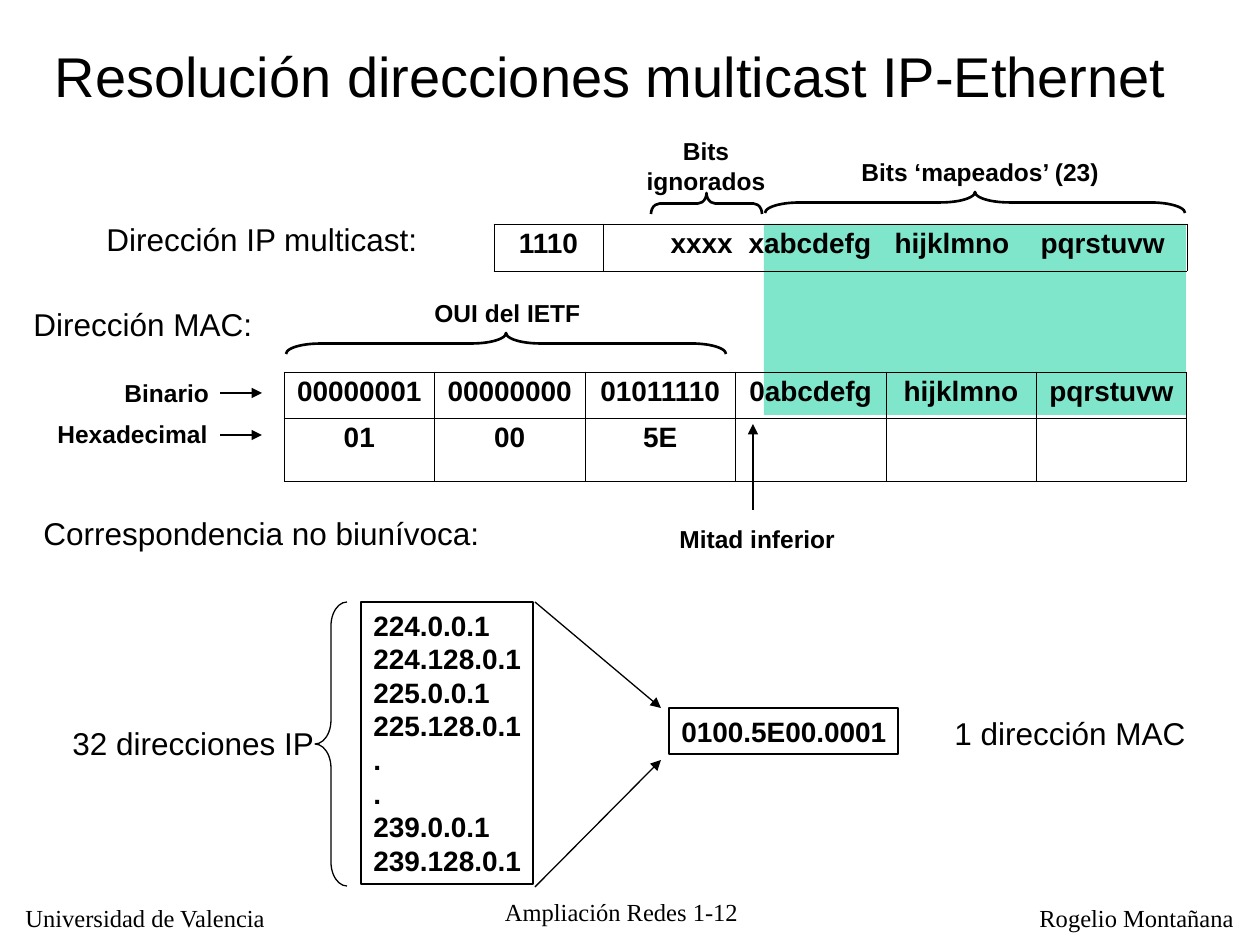
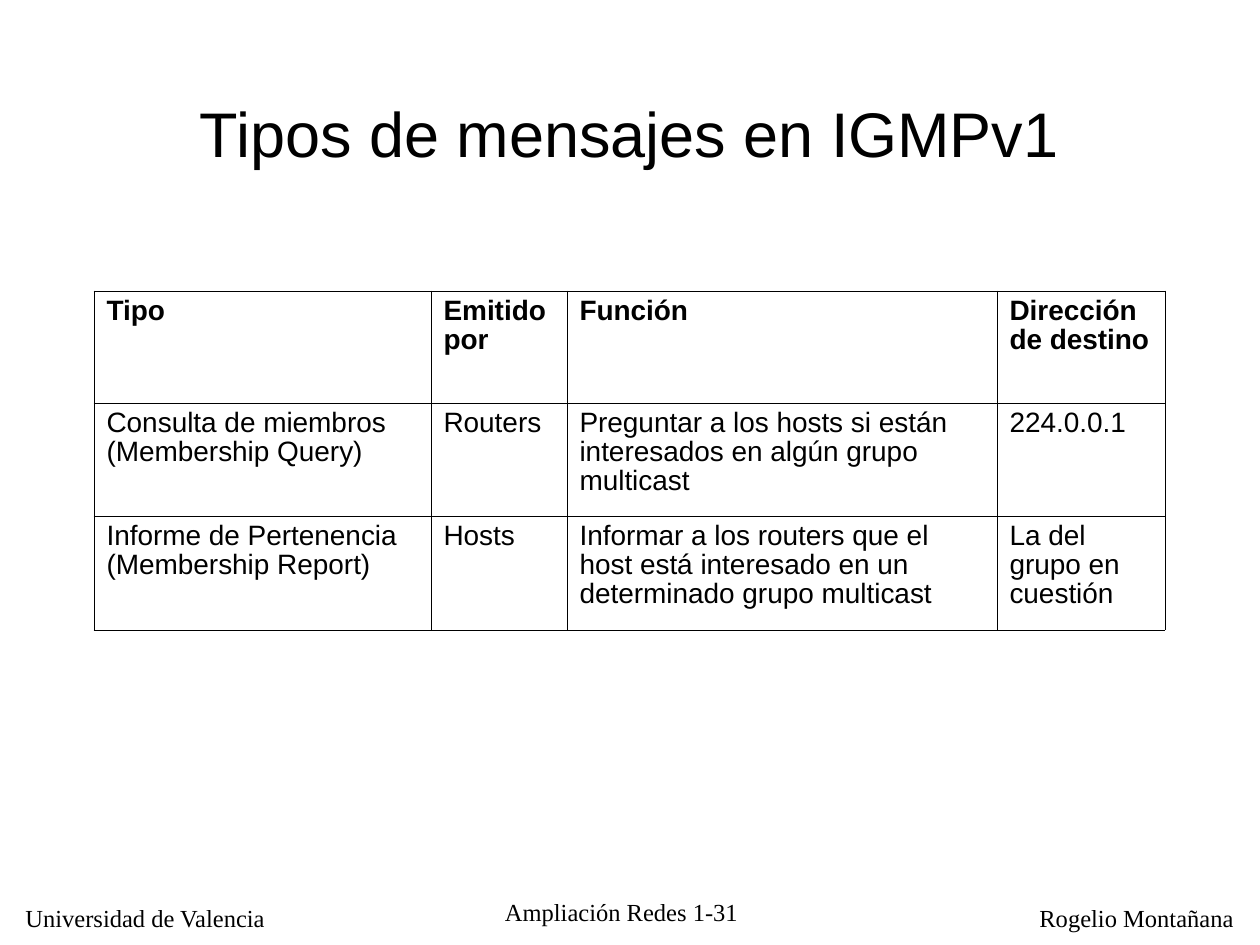
from lxml import etree
from pptx import Presentation, util as u
from pptx.dml.color import RGBColor
from pptx.enum import shapes, text
from pptx.oxml.ns import qn

BLACK = RGBColor(0x00, 0x00, 0x00)
GREEN = RGBColor(0x00, 0xCC, 0x99)
SANS, SERIF = "Arial", "Times New Roman"
PX = 914400 / 126
LEFT, CENTER = text.PP_ALIGN.LEFT, text.PP_ALIGN.CENTER
TOP, MIDDLE = text.MSO_ANCHOR.TOP, text.MSO_ANCHOR.MIDDLE
OUTER_BORDER, INNER_BORDER = 0.5, 0.25


def px(length):
    return u.Emu(round(length * PX))


def box(*lengths):
    return [px(length) for length in lengths]


def add_element(parent, tag, **attributes):
    return etree.SubElement(parent, qn(tag), attributes)


class Deck:
    """Holds the presentation, its style and the slide being drawn."""

    def __init__(self):
        self.presentation = Presentation()
        self.presentation.slide_width = px(1260)
        self.presentation.slide_height = px(945)
        self.slide = None

    def new_slide(self, number, title, bounds, size, align, anchor):
        layout = self.presentation.slide_layouts[5]
        self.slide = self.presentation.slides.add_slide(layout)
        holder = self.slide.shapes.title
        holder.left, holder.top, holder.width, holder.height = box(*bounds)
        self.set_lines(holder.text_frame, [title], size, align=align, anchor=anchor)
        self.label("Universidad de Valencia", (13, 897, 268, 43), font=SERIF)
        self.label("Rogelio Montañana", (1027, 897, 219, 43), font=SERIF)
        self.label(f"Ampliación Redes {number}", (474, 891, 295, 38),
                   font=SERIF, align=CENTER, wrap=True)

    def set_lines(self, frame, lines, size, bold=False, font=SANS, align=LEFT,
                  anchor=TOP, wrap=True):
        frame.word_wrap = wrap
        frame.auto_size = text.MSO_AUTO_SIZE.NONE
        frame.vertical_anchor = anchor
        for index, line in enumerate(lines):
            paragraph = frame.add_paragraph() if index else frame.paragraphs[0]
            self.add_run(paragraph, line, size, bold, font, align)

    def add_run(self, paragraph, words, size, bold, font=SANS, align=LEFT):
        paragraph.alignment = align
        run = paragraph.add_run()
        run.text = words
        run.font.size, run.font.bold, run.font.name = u.Pt(size), bold, font
        run.font.color.rgb = BLACK

    def label(self, words, bounds, size=14, wrap=False, **style):
        shape = self.slide.shapes.add_textbox(*box(*bounds))
        self.set_lines(shape.text_frame, words.split("\n"), size, wrap=wrap, **style)

    def outline(self, kind, bounds, width):
        shape = self.slide.shapes.add_shape(kind, *box(*bounds))
        shape.shadow.inherit = False
        shape.fill.background()
        shape.line.color.rgb = BLACK
        shape.line.width = u.Pt(width)
        return shape

    def framed_text(self, lines, bounds):
        shape = self.outline(shapes.MSO_SHAPE.RECTANGLE, bounds, 0.75)
        self.set_lines(shape.text_frame, lines, 16, bold=True, wrap=False)

    def highlight(self, bounds):
        """Draw a half transparent green area without outline."""
        shape = self.outline(shapes.MSO_SHAPE.RECTANGLE, bounds, 0.75)
        shape.line.fill.background()
        shape.fill.solid()
        shape.fill.fore_color.rgb = GREEN
        color = shape._element.spPr.find(f".//{qn('a:srgbClr')}")
        add_element(color, "a:alpha", val="50000")

    def left_brace(self, bounds, width, curve):
        shape = self.outline(shapes.MSO_SHAPE.LEFT_BRACE, bounds, width)
        shape.adjustments[0] = curve
        return shape

    def brace_over(self, left, top, length, curve, depth=21):
        """Draw a brace that lies flat with its point upwards."""
        shift = (length - depth) / 2
        bounds = (left + shift, top - shift, depth, length)
        self.left_brace(bounds, 1.5, curve).rotation = 90

    def arrow(self, *ends):
        connector = self.slide.shapes.add_connector(
            shapes.MSO_CONNECTOR.STRAIGHT, *box(*ends))
        connector.line.color.rgb = BLACK
        connector.line.width = u.Pt(0.75)
        properties = connector._element.spPr
        add_element(properties.find(qn("a:ln")), "a:tailEnd", type="triangle")
        add_element(properties, "a:effectLst")

    def table(self, left, top, columns, heights, rows, align=LEFT, bold_rows=1):
        bounds = box(left, top, sum(columns), sum(heights))
        table = self.slide.shapes.add_table(len(rows), len(columns), *bounds).table
        table.first_row = table.horz_banding = False
        for column, width in zip(table.columns, columns):
            column.width = px(width)
        for row, height in zip(table.rows, heights):
            row.height = px(height)
        for r, row in enumerate(rows):
            for c, words in enumerate(row):
                cell = table.cell(r, c)
                cell.fill.background()
                outer = {"a:lnL": c == 0, "a:lnR": c == len(columns) - 1,
                         "a:lnT": r == 0, "a:lnB": r == len(rows) - 1}
                self.borders(cell, outer)
                if words:
                    paragraph = cell.text_frame.paragraphs[0]
                    paragraph.line_spacing = 0.93
                    paragraph.space_before = u.Pt(4)
                    self.add_run(paragraph, words, 16, r < bold_rows, align=align)
        return table

    def borders(self, cell, outer):
        properties = cell._tc.get_or_add_tcPr()
        for index, (side, is_outer) in enumerate(outer.items()):
            width = u.Pt(OUTER_BORDER if is_outer else INNER_BORDER)
            line = etree.Element(qn(side), w=str(int(width)))
            fill = add_element(line, "a:solidFill")
            add_element(fill, "a:srgbClr", val=str(BLACK))
            properties.insert(index, line)

    def tab_stops(self, cell, positions):
        paragraph = cell.text_frame.paragraphs[0]
        stops = add_element(paragraph._p.get_or_add_pPr(), "a:tabLst")
        for position in positions:
            add_element(stops, "a:tab", pos=str(int(px(position))), algn="l")


def address_slide(deck):
    deck.new_slide("1-12", "Resolución direcciones multicast IP-Ethernet",
                   (42, 35, 1207, 81), 32, LEFT, TOP)
    deck.highlight((764, 224, 422, 191))

    ip_table = deck.table(494, 224, [109, 584], [47],
                          [["1110", "\txxxx\txabcdefg\thijklmno\tpqrstuvw"]], CENTER)
    bits = ip_table.cell(0, 1)
    bits.text_frame.paragraphs[0].alignment = LEFT
    deck.tab_stops(bits, [55, 133, 279, 425])
    deck.table(284, 372, [150.5] * 6, [46, 63],
               [["00000001", "00000000", "01011110", "0abcdefg", "hijklmno", "pqrstuvw"],
                ["01", "00", "5E", "", "", ""]], CENTER, bold_rows=2)

    for words, bounds in [
        ("Dirección IP multicast:", (94, 214, 378, 50)),
        ("Dirección MAC:", (21, 299, 451, 50)),
        ("Correspondencia no biunívoca:", (31, 508, 473, 50)),
        ("32 direcciones IP", (60, 718, 267, 50)),
        ("1 dirección MAC", (942, 708, 256, 50)),
    ]:
        deck.label(words, bounds, 18)
    for words, bounds in [
        ("Binario", (112, 372, 110, 43)),
        ("Hexadecimal", (45, 413, 175, 43)),
        ("Bits ‘mapeados’ (23)", (849, 151, 263, 43)),
        ("OUI del IETF", (422, 292, 171, 43)),
        ("Mitad inferior", (667, 518, 180, 43)),
    ]:
        deck.label(words, bounds, bold=True)
    deck.label("Bits\nignorados", (634, 130, 144, 72), bold=True, align=CENTER)

    deck.brace_over(651, 193, 111, 0.41)
    deck.brace_over(765, 192, 420, 1.64)
    deck.brace_over(286, 333, 440, 1.64)
    deck.left_brace((315, 602, 32, 284), 0.75, 0.75)

    deck.framed_text(["224.0.0.1", "224.128.0.1", "225.0.0.1", "225.128.0.1",
                      ".", ".", "239.0.0.1", "239.128.0.1"], (361, 602, 172, 282))
    deck.framed_text(["0100.5E00.0001"], (669, 708, 229, 46))

    for y in (393, 435):
        deck.arrow(220, y, 262, y)
    deck.arrow(535, 602, 661, 708)
    deck.arrow(535, 887, 661, 760)
    deck.arrow(753, 510, 753, 424)


def message_slide(deck):
    deck.new_slide("1-31", "Tipos de mensajes en IGMPv1",
                   (94, 53, 1071, 158), 36, CENTER, MIDDLE)
    deck.table(94, 291, [337, 136, 430, 168], [112, 113, 114], [
        ["Tipo", "Emitido por", "Función", "Dirección de destino"],
        ["Consulta de miembros (Membership Query)", "Routers",
         "Preguntar a los hosts si están interesados en algún grupo multicast",
         "224.0.0.1"],
        ["Informe de Pertenencia (Membership Report)", "Hosts",
         "Informar a los routers que el host está interesado en un determinado "
         "grupo multicast", "La del grupo en cuestión"],
    ])


def main():
    deck = Deck()
    address_slide(deck)
    message_slide(deck)
    deck.presentation.save("out.pptx")


if __name__ == "__main__":
    main()
